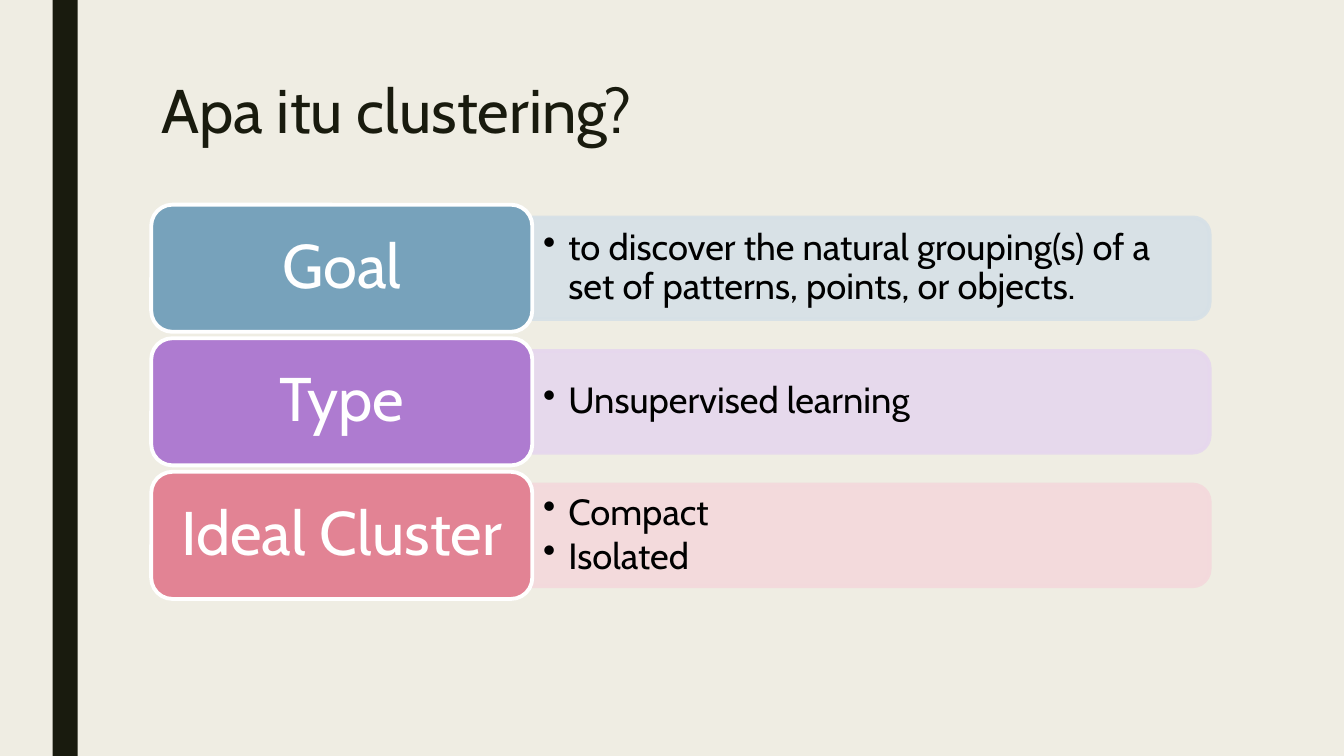
"""Build a slide that defines clustering by goal, type and ideal cluster."""
from lxml.etree import SubElement
from pptx import Presentation
from pptx.dml.color import RGBColor
from pptx.enum.shapes import MSO_SHAPE
from pptx.enum.text import MSO_ANCHOR, MSO_AUTO_SIZE, PP_ALIGN
from pptx.oxml.ns import qn
from pptx.util import Pt


def color(value):
    return RGBColor.from_string(value)


def style_paragraph(paragraph, text, size, value, spacing=0.9):
    paragraph.text = text
    paragraph.line_spacing = spacing
    paragraph.font.name = "Cabin"
    paragraph.font.size = Pt(size)
    paragraph.font.color.rgb = color(value)


presentation = Presentation()
presentation.slide_width = Pt(960)
presentation.slide_height = Pt(540)
slide = presentation.slides.add_slide(presentation.slide_layouts[5])
slide.background.fill.solid()
slide.background.fill.fore_color.rgb = color("EFEDE3")

stripe = slide.shapes.add_shape(MSO_SHAPE.RECTANGLE, Pt(37.5), 0, Pt(18), Pt(540))
stripe.shadow.inherit = False
stripe.fill.solid()
stripe.fill.fore_color.rgb = color("191B0E")
stripe.line.fill.background()

title = slide.shapes.title
title.left, title.top, title.width, title.height = Pt(108), Pt(54), Pt(756), Pt(116.6)
title.text_frame.auto_size = MSO_AUTO_SIZE.NONE
title.text_frame.vertical_anchor = MSO_ANCHOR.TOP
style_paragraph(title.text_frame.paragraphs[0], "Apa itu clustering?", 44, "191B0E", 0.89)
title.text_frame.paragraphs[0].alignment = PP_ALIGN.LEFT

rows = [
    ("Goal", "77A2BB", "D6E0E7",
     ["to discover the natural grouping(s) of a set of patterns, points, or objects."]),
    ("Type", "AE7BD0", "E6D7EE", ["Unsupervised learning"]),
    ("Ideal Cluster", "E28394", "F4D9DC", ["Compact", "Isolated"]),
]
label_left, label_width, label_height = 108, 272.2, 90.8
panel_left, panel_length, panel_depth = 380.2, 483.8, 72.6
first_middle, row_pitch = 191.6, 95.4

for index, (heading, label_color, panel_color, points) in enumerate(rows):
    middle = first_middle + index * row_pitch

    panel = slide.shapes.add_shape(
        MSO_SHAPE.ROUND_2_SAME_RECTANGLE,
        Pt(panel_left + (panel_length - panel_depth) / 2), Pt(middle - panel_length / 2),
        Pt(panel_depth), Pt(panel_length))
    panel.rotation = 90
    label = slide.shapes.add_shape(
        MSO_SHAPE.ROUNDED_RECTANGLE, Pt(label_left), Pt(middle - label_height / 2),
        Pt(label_width), Pt(label_height))
    for shape, fill_color, line_color in (
            (panel, panel_color, panel_color), (label, label_color, "FFFFFF")):
        shape.shadow.inherit = False
        shape.fill.solid()
        shape.fill.fore_color.rgb = color(fill_color)
        shape.line.color.rgb = color(line_color)
        shape.line.width = Pt(2.75)
    for panel_paint in panel._element.spPr.iter(qn("a:srgbClr")):
        SubElement(panel_paint, qn("a:alpha"), val="90000")

    label.text_frame.word_wrap = True
    label.text_frame.vertical_anchor = MSO_ANCHOR.MIDDLE
    style_paragraph(label.text_frame.paragraphs[0], heading, 44, "FFFFFF")
    label.text_frame.paragraphs[0].alignment = PP_ALIGN.CENTER

    description = slide.shapes.add_textbox(
        Pt(panel_left), Pt(middle - 32.8), Pt(480.2), Pt(65.6))
    frame = description.text_frame
    frame.word_wrap = True
    frame.vertical_anchor = MSO_ANCHOR.MIDDLE
    frame.margin_left = frame.margin_right = Pt(7.8)
    for number, point in enumerate(points):
        paragraph = frame.add_paragraph() if number else frame.paragraphs[0]
        style_paragraph(paragraph, point, 26, "000000")
        paragraph.space_after = Pt(3.5)
        properties = paragraph._p.get_or_add_pPr()
        properties.set("marL", str(Pt(18)))
        properties.set("indent", str(-Pt(18)))
        bullet = properties.makeelement(qn("a:buChar"), {"char": "•"})
        properties.find(qn("a:defRPr")).addprevious(bullet)

presentation.save("out.pptx")
